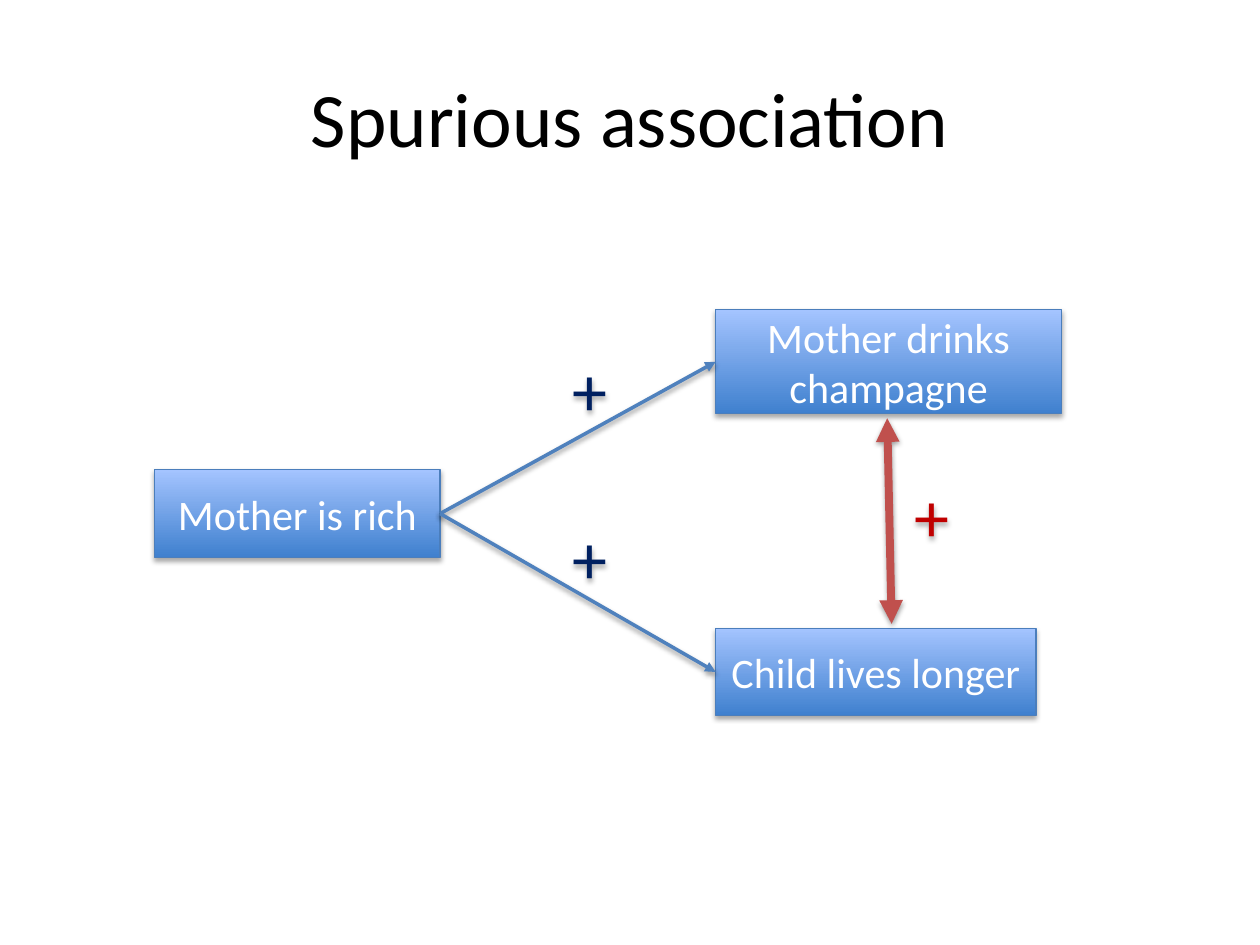
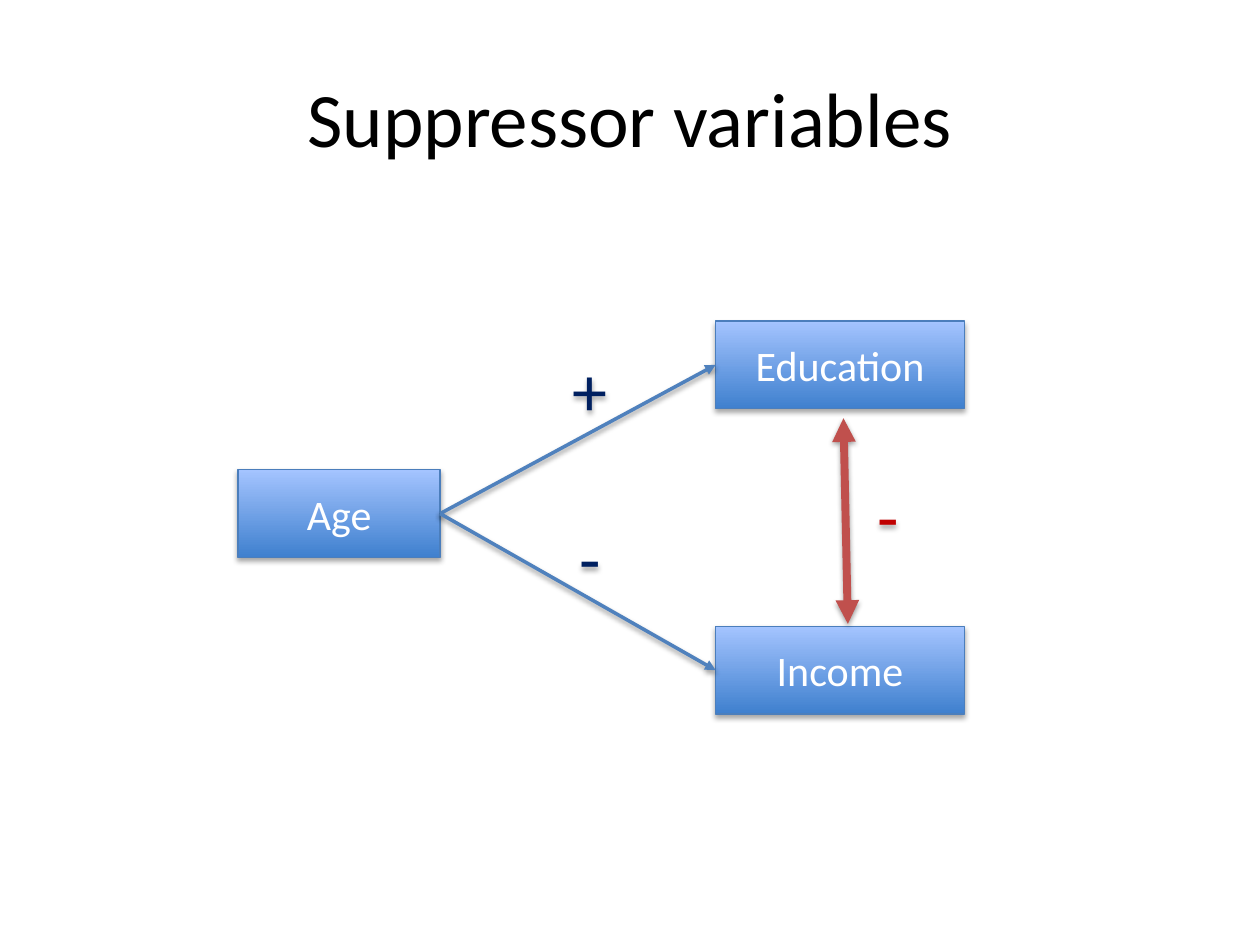
from lxml.etree import SubElement
from pptx import Presentation
from pptx.dml.color import RGBColor
from pptx.enum.shapes import MSO_CONNECTOR as LINE, MSO_SHAPE as SHAPE
from pptx.enum.text import MSO_ANCHOR as ANCHOR, PP_ALIGN as ALIGN
from pptx.oxml.ns import qn
from pptx.util import Pt

HUES = {
    "black": "000000", "white": "FFFFFF", "navy": "002060", "red": "C00000",
    "base": "3F80CE", "top": "A4C4FF", "edge": "4B7EBC",
    "cause": "4F81BD", "link": "C0504D",
}
RGB = {name: RGBColor.from_string(code) for name, code in HUES.items()}


def write(shape, text, size, hue):
    frame = shape.text_frame
    frame.word_wrap = True
    frame.vertical_anchor = ANCHOR.MIDDLE
    para = frame.paragraphs[0]
    para.alignment = ALIGN.CENTER
    run = para.add_run()
    run.text = text
    run.font.name = "Calibri"
    run.font.size = Pt(size)
    run.font.color.rgb = RGB[hue]


def shade(shape, drop, alpha):
    fx = SubElement(shape._element.spPr, qn("a:effectLst"))
    cast = SubElement(fx, qn("a:outerShdw"), blurRad=str(Pt(3.1)),
                      dist=str(Pt(drop)), dir="5400000", rotWithShape="0")
    tone = SubElement(cast, qn("a:srgbClr"), val=HUES["black"])
    SubElement(tone, qn("a:alpha"), val=str(alpha * 1000))


# Boxes: text, left, top, width, height; cause first, then its two effects
# Signs: upper path, lower path, link between effects
SLIDES = [
    ("Spurious association",
     [("Mother is rich", 88.5, 268.5, 163, 50),
      ("Mother drinks champagne", 409, 177, 197.5, 59.5),
      ("Child lives longer", 409, 359, 183, 50)],
     "+++", 509.5),
    ("Suppressor variables",
     [("Age", 136, 268.5, 115.5, 50),
      ("Education", 409, 183.5, 142, 50),
      ("Income", 409, 358, 142, 50)],
     "+--", 484.5),
]

deck = Presentation()
deck.slide_width, deck.slide_height = Pt(720), Pt(540)

for title, boxes, signs, mid in SLIDES:
    slide = deck.slides.add_slide(deck.slide_layouts[6])
    shapes = slide.shapes

    # Title
    head = shapes.add_textbox(Pt(36), Pt(21.6), Pt(648), Pt(90))
    write(head, title, 44, "black")

    # Boxes
    nodes = []
    for text, *place in boxes:
        node = shapes.add_shape(SHAPE.RECTANGLE, *map(Pt, place))
        node.fill.gradient()
        node.fill.gradient_angle = 90
        for stop, hue, spot in zip(node.fill.gradient_stops, ("base", "top"), (0, 1)):
            stop.color.rgb = RGB[hue]
            stop.position = spot
        node.line.color.rgb = RGB["edge"]
        node.line.width = Pt(0.75)
        shade(node, 1.8, 35)
        write(node, text, 24, "white")
        nodes.append(node)

    # Arrows: cause to each effect, then the link between the effects
    cause, *ends = nodes
    arrows = []
    for end in ends:
        arrow = shapes.add_connector(LINE.STRAIGHT, 0, 0, 0, 0)
        arrow.begin_connect(cause, 3)
        arrow.end_connect(end, 1)
        arrows.append((arrow, "cause", 2, ["tailEnd"]))
    link = shapes.add_connector(LINE.STRAIGHT, Pt(mid - 2.5), Pt(239), Pt(mid), Pt(356.5))
    arrows.append((link, "link", 4.5, ["headEnd", "tailEnd"]))
    for arrow, hue, width, tips in arrows:
        arrow.line.color.rgb = RGB[hue]
        arrow.line.width = Pt(width)
        for tip in tips:
            SubElement(arrow._element.spPr.find(qn("a:ln")), qn(f"a:{tip}"), type="triangle")
        shade(arrow, 1.6, 38)

    # Signs
    spots = [(314, 206, "navy"), (314, 302.5, "navy"), (mid, 278, "red")]
    for sign, (left, top, hue) in zip(signs, spots):
        mark = shapes.add_textbox(Pt(left), Pt(top), Pt(46), Pt(31.5))
        shade(mark, 1.8, 35)
        write(mark, sign, 40, hue)

deck.save("out.pptx")
